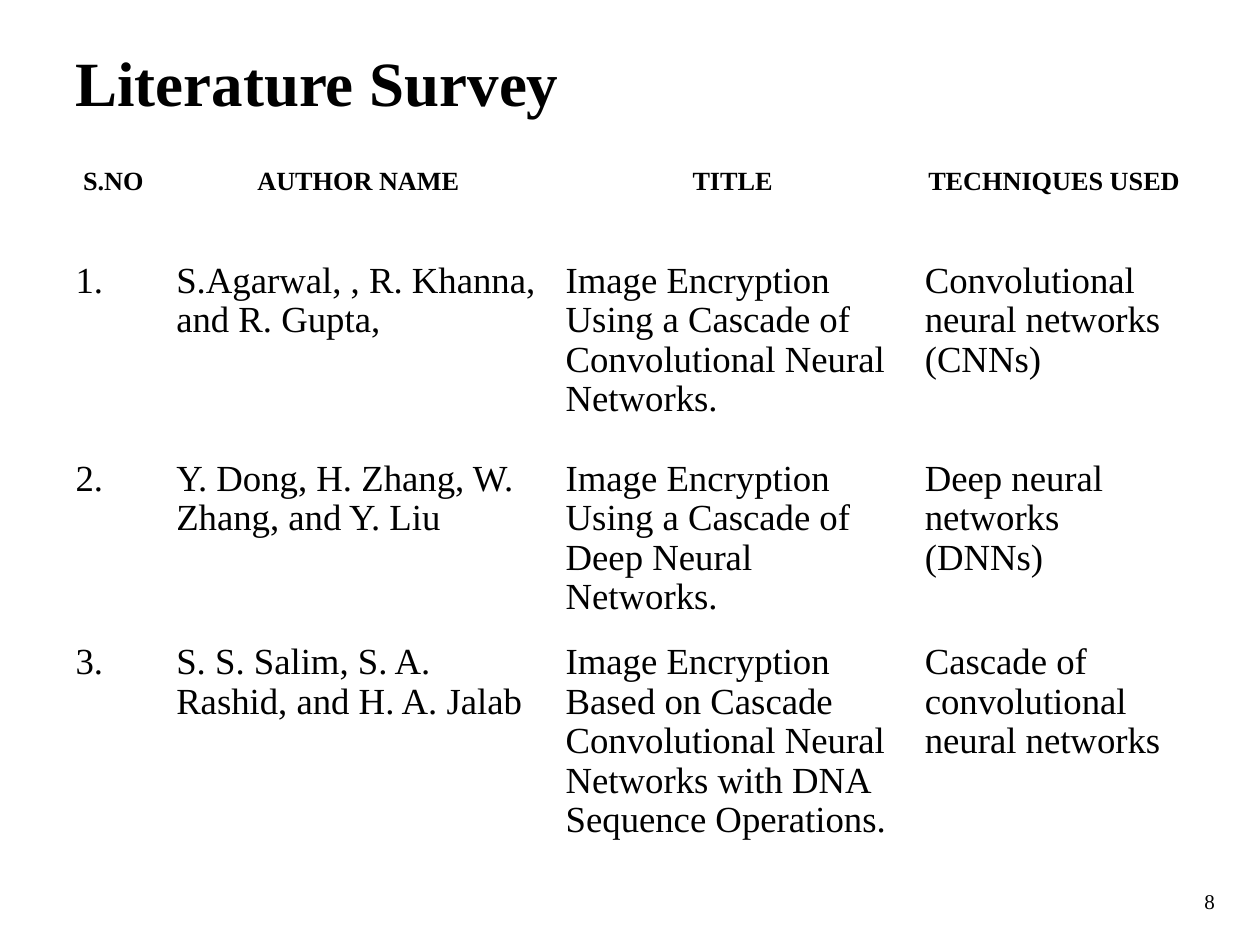
from pptx import Presentation
from pptx.dml.color import RGBColor
from pptx.enum.text import MSO_ANCHOR as Anchor, PP_ALIGN as Align
from pptx.util import Cm, Pt

FONT = "Times New Roman"
BLACK = "000000"
COLUMN_WIDTHS = [2.03, 7.85, 7.24, 5.72]
ROW_HEIGHTS = [1.9, 3.99, 3.05, 4.9]
HEADINGS = ["S.NO", "AUTHOR NAME", "TITLE", "TECHNIQUES USED"]
PAPERS = [
    ("S.Agarwal, , R. Khanna, and R. Gupta,",
     "Image Encryption Using a Cascade of Convolutional Neural Networks.",
     "Convolutional neural networks (CNNs)"),
    ("Y. Dong, H. Zhang, W. Zhang, and Y. Liu",
     "Image Encryption Using a Cascade of Deep Neural Networks.",
     "Deep neural networks (DNNs)"),
    ("S. S. Salim, S. A. Rashid, and H. A. Jalab",
     "Image Encryption Based on Cascade Convolutional Neural Networks "
     "with DNA Sequence Operations.",
     "Cascade of convolutional neural networks"),
]


def color(hex_string):
    return RGBColor.from_string(hex_string)


def write(text_frame, text, size, bold=False, align=Align.LEFT):
    paragraph = text_frame.paragraphs[0]
    paragraph.text = text
    paragraph.alignment = align
    font = paragraph.font
    font.name, font.size, font.bold = FONT, Pt(size), bold
    font.color.rgb = color(BLACK)
    return paragraph


def add_text(slide, left, top, width, height, text, size, anchor, **style):
    box = slide.shapes.add_textbox(Cm(left), Cm(top), Cm(width), Cm(height))
    box.text_frame.word_wrap = True
    box.text_frame.vertical_anchor = anchor
    write(box.text_frame, text, size, **style)


def add_survey_table(slide, left, top):
    rows = [HEADINGS] + [(f"{number}.", *paper)
                         for number, paper in enumerate(PAPERS, 1)]
    table = slide.shapes.add_table(
        len(rows), len(HEADINGS), Cm(left), Cm(top),
        Cm(sum(COLUMN_WIDTHS)), Cm(sum(ROW_HEIGHTS))).table
    table.first_row = table.horz_banding = False
    for column, width in zip(table.columns, COLUMN_WIDTHS):
        column.width = Cm(width)
    for row, height, texts in zip(table.rows, ROW_HEIGHTS, rows):
        row.height = Cm(height)
        for cell, text in zip(row.cells, texts):
            cell.fill.background()
            if texts is HEADINGS:
                write(cell.text_frame, text, 15, bold=True, align=Align.CENTER)
            else:
                write(cell.text_frame, text, 21).line_spacing = 0.97


def main():
    presentation = Presentation()
    presentation.slide_width, presentation.slide_height = Cm(25.4), Cm(19.05)
    slide = presentation.slides.add_slide(presentation.slide_layouts[6])
    add_text(slide, 1.27, 0.76, 22.86, 3.18, "Literature Survey", 36,
             Anchor.TOP, bold=True)
    add_survey_table(slide, 1.27, 3.25)
    add_text(slide, 18.82, 17.65, 5.92, 1.02, "8", 12, Anchor.MIDDLE,
             align=Align.RIGHT)
    presentation.save("out.pptx")


if __name__ == "__main__":
    main()
